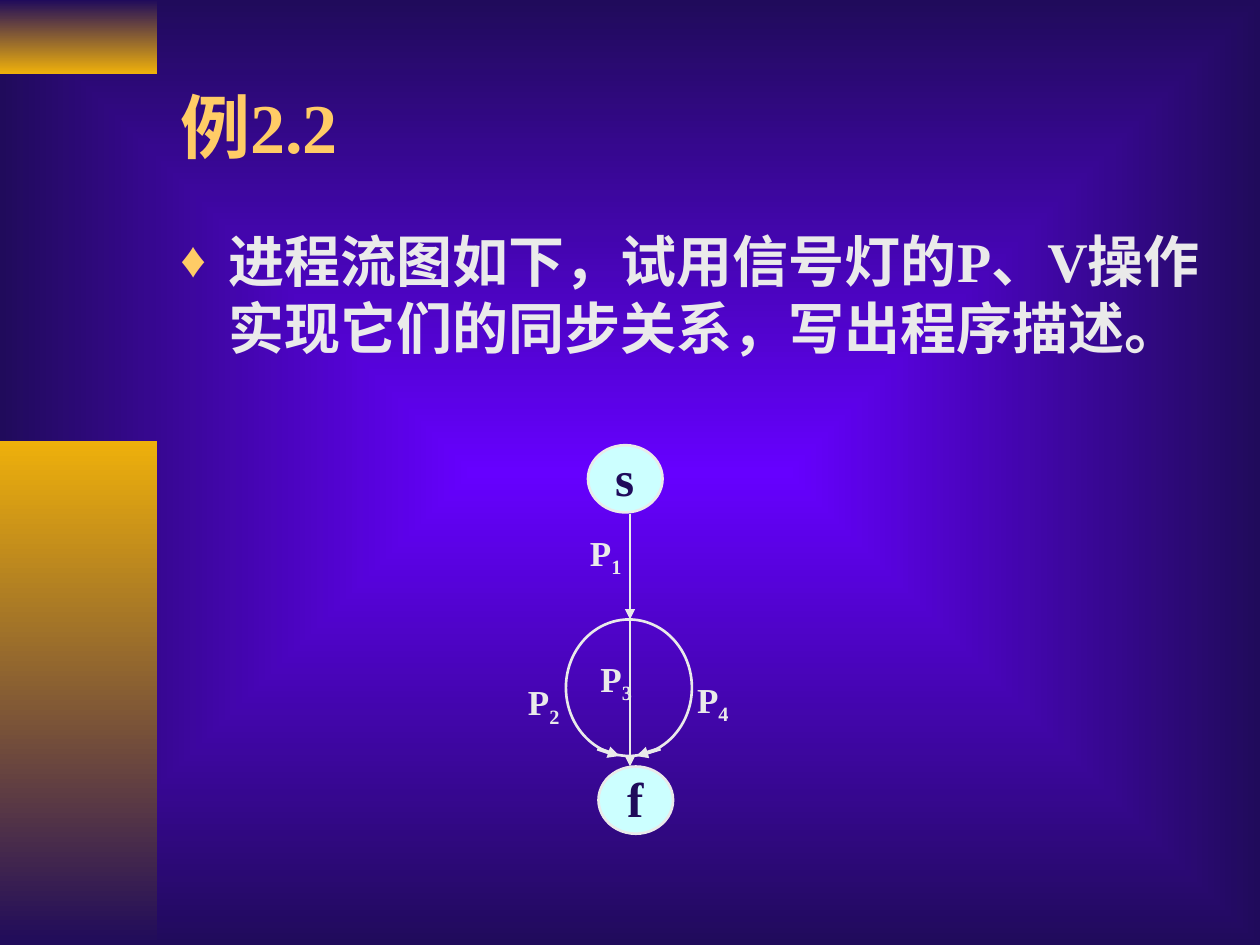
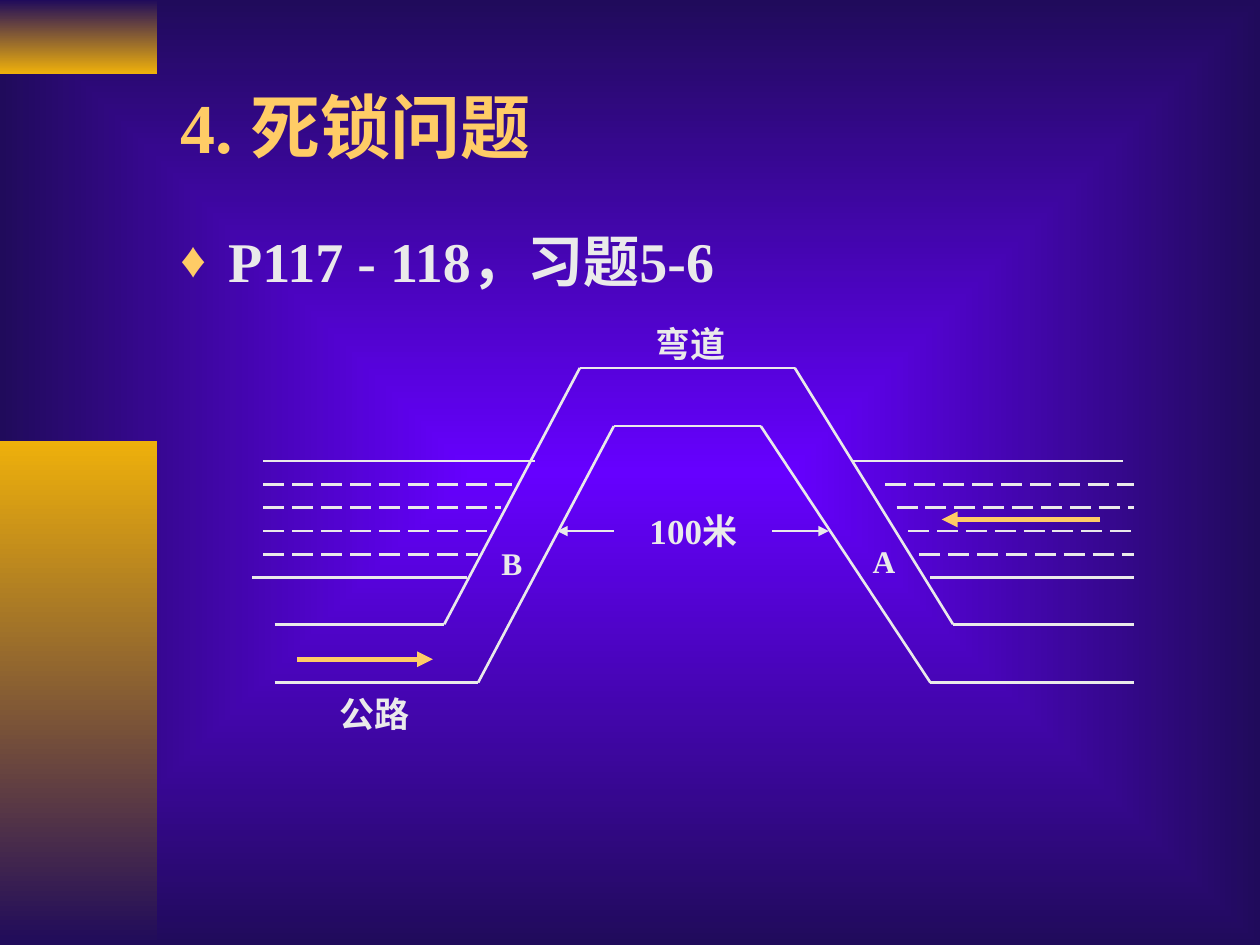
import itertools

import lxml.etree
import pptx
import pptx.dml.color
import pptx.enum.dml
import pptx.enum.shapes
import pptx.enum.text
import pptx.oxml.ns
import pptx.util

COLORS = {
    "violet": "6600FF",
    "navy": "200B5B",
    "gold": "EEB00B",
    "accent": "FFCC66",
    "text": "EAEAEA",
    "node": "CCFFFF",
}
RGB = {k: pptx.dml.color.RGBColor.from_string(v) for k, v in COLORS.items()}
FONT = "Times New Roman"
ALIGN = pptx.enum.text.PP_ALIGN
ANCHOR = pptx.enum.text.MSO_ANCHOR
SHAPE = pptx.enum.shapes.MSO_SHAPE
DASH = pptx.enum.dml.MSO_LINE.LONG_DASH
qn = pptx.oxml.ns.qn
Inches = pptx.util.Inches
Pt = pptx.util.Pt

PAGE = (0, 0, 1 / 12, 1 / 12)
ROAD = (2, 2.92, 7 / 78, 0.185)


def add_text(s, grid, box, text, size, color, align=ALIGN.LEFT, anchor=ANCHOR.TOP):
    x0, y0, dx, dy = grid
    x, y, w, h = box
    sp = s.shapes.add_textbox(Inches(x0 + x * dx), Inches(y0 + y * dy), Inches(w * dx), Inches(h * dy))
    tf = sp.text_frame
    tf.word_wrap = True
    tf.vertical_anchor = anchor
    p = tf.paragraphs[0]
    p.text = text
    p.alignment = align
    p.font.size = Pt(size)
    for r in p.runs:
        r.font.name = FONT
        r.font.size = Pt(size)
        r.font.bold = True
        r.font.color.rgb = RGB[color]
    return p


def add_line(s, grid, start, end, color="text", width=1.5, dash=None, arrow=False):
    x0, y0, dx, dy = grid
    ends = [Inches(v) for x, y in (start, end) for v in (x0 + x * dx, y0 + y * dy)]
    cn = s.shapes.add_connector(pptx.enum.shapes.MSO_CONNECTOR.STRAIGHT, *ends)
    cn.line.color.rgb = RGB[color]
    cn.line.width = Pt(width)
    if dash:
        cn.line.dash_style = dash
    if arrow:
        lxml.etree.SubElement(cn.line._get_or_add_ln(), qn("a:tailEnd"), type="triangle")
    lxml.etree.SubElement(cn._element.spPr, qn("a:effectLst"))


prs = pptx.Presentation()
prs.slide_width = Inches(10)
prs.slide_height = Inches(7.5)

master = prs.slide_master
fill = master.background.fill
fill.gradient()
for stop, color in zip(fill.gradient_stops, ("violet", "navy")):
    stop.color.rgb = RGB[color]
grad = master.element.find(".//" + qn("p:bg")).find(".//" + qn("a:gradFill"))
grad.remove(grad.find(qn("a:lin")))
center = lxml.etree.SubElement(grad, qn("a:path"), path="rect")
lxml.etree.SubElement(center, qn("a:fillToRect"), l="50000", t="50000", r="50000", b="50000")

bands = [(0, 7, ("navy", "gold")), (42, 48, ("gold", "navy"))]
pages = [
    ("例2.2", "进程流图如下，试用信号灯的P、V操作实现它们的同步关系，写出程序描述。"),
    ("4. 死锁问题", "P117 - 118，习题5-6"),
]
slides = []
for title, body in pages:
    s = prs.slides.add_slide(prs.slide_layouts[6])
    slides.append(s)
    for top, height, colors in bands:
        sp = s.shapes.add_shape(SHAPE.RECTANGLE, 0, Inches(top / 12), Inches(15 / 12), Inches(height / 12))
        sp.shadow.inherit = False
        sp.line.fill.background()
        sp.fill.gradient()
        sp.fill.gradient_angle = 270
        for stop, color in zip(sp.fill.gradient_stops, colors):
            stop.color.rgb = RGB[color]
    add_text(s, PAGE, (16, 4, 102, 15.84), title, 40, "accent", anchor=ANCHOR.MIDDLE)
    p = add_text(s, PAGE, (16, 21, 102, 63), body, 32, "text")
    p.space_before = Pt(8)
    pPr = p._p.get_or_add_pPr()
    pPr.set("marL", str(Inches(0.38)))
    pPr.set("indent", str(-Inches(0.38)))
    bullet = [
        lxml.etree.Element(qn("a:buClr")),
        lxml.etree.Element(qn("a:buSzPct"), val="90000"),
        lxml.etree.Element(qn("a:buFont"), typeface=FONT),
        lxml.etree.Element(qn("a:buChar"), char="♦"),
    ]
    lxml.etree.SubElement(bullet[0], qn("a:srgbClr"), val=COLORS["accent"])
    spacing = pPr.find(qn("a:spcBef"))
    for el in reversed(bullet):
        spacing.addnext(el)

flow, road = slides

ovals = [(53.9, 59, 12, 13, None), (57, 73, 7.1, 6.4, "node"), (56, 42.4, 7.1, 6.4, "node")]
for *box, color in ovals:
    sp = flow.shapes.add_shape(SHAPE.OVAL, *[Inches(v / 12) for v in box])
    sp.shadow.inherit = False
    sp.line.color.rgb = RGB["text"]
    sp.line.width = Pt(1.5)
    if color:
        sp.fill.solid()
        sp.fill.fore_color.rgb = RGB[color]
    else:
        sp.fill.background()

for name, x, y in [("s", 57, 42), ("f", 58, 72.6)]:
    add_text(flow, PAGE, (x, y, 5, 6.4), name, 28, "navy", ALIGN.CENTER)

for number, x, y in [("1", 55, 50), ("2", 49.1, 64.2), ("3", 56, 62), ("4", 65.2, 64)]:
    p = add_text(flow, PAGE, (x, y, 5.9, 5.8), "P", 20, "text")
    r = p.add_run()
    r.text = number
    r.font.name = FONT
    r.font.size = Pt(20)
    r.font.bold = True
    r.font.color.rgb = RGB["text"]
    r._r.get_or_add_rPr().set("baseline", "-25000")

for start, end, width in [
    ((60, 49), (60, 59), 1.5),
    ((60, 59), (60, 73), 1.5),
    ((56.9, 71.3), (59, 72), 2.25),
    ((62.9, 71.3), (60.6, 72), 2.25),
]:
    add_line(flow, PAGE, start, end, width=width, arrow=True)

outlines = [
    [(2, 11), (17, 11), (29, 0), (48, 0), (62, 11), (78, 11)],
    [(2, 13.5), (20, 13.5), (32, 2.5), (45, 2.5), (60, 13.5), (78, 13.5)],
    [(1, 4), (25, 4)],
    [(53, 4), (77, 4)],
    [(0, 9), (19, 9)],
    [(60, 9), (78, 9)],
]
for points in outlines:
    for start, end in itertools.pairwise(points):
        add_line(road, ROAD, start, end)

for i in range(4):
    add_line(road, ROAD, (1, 5 + i), (23 - i, 5 + i), dash=DASH)
    add_line(road, ROAD, (56 + i, 5 + i), (78, 5 + i), dash=DASH)

for start, end, color, width in [
    ((75, 6.5), (61, 6.5), "accent", 3),
    ((4, 12.5), (16, 12.5), "accent", 3),
    ((32, 7), (27, 7), "text", 1.5),
    ((46, 7), (51, 7), "text", 1.5),
]:
    add_line(road, ROAD, start, end, color, width, arrow=True)

for text, x, y, w, h, size in [
    ("B", 20, 7.3, 5, 2.16, 18),
    ("A", 53, 7.2, 5, 2.16, 18),
    ("弯道", 32, -2.25, 11, 2.38, 20),
    ("公路", 4, 13.6, 11, 2.38, 20),
    ("100米", 33, 5.75, 11, 2.38, 20),
]:
    add_text(road, ROAD, (x, y, w, h), text, size, "text", ALIGN.RIGHT, ANCHOR.BOTTOM)

prs.save("out.pptx")
